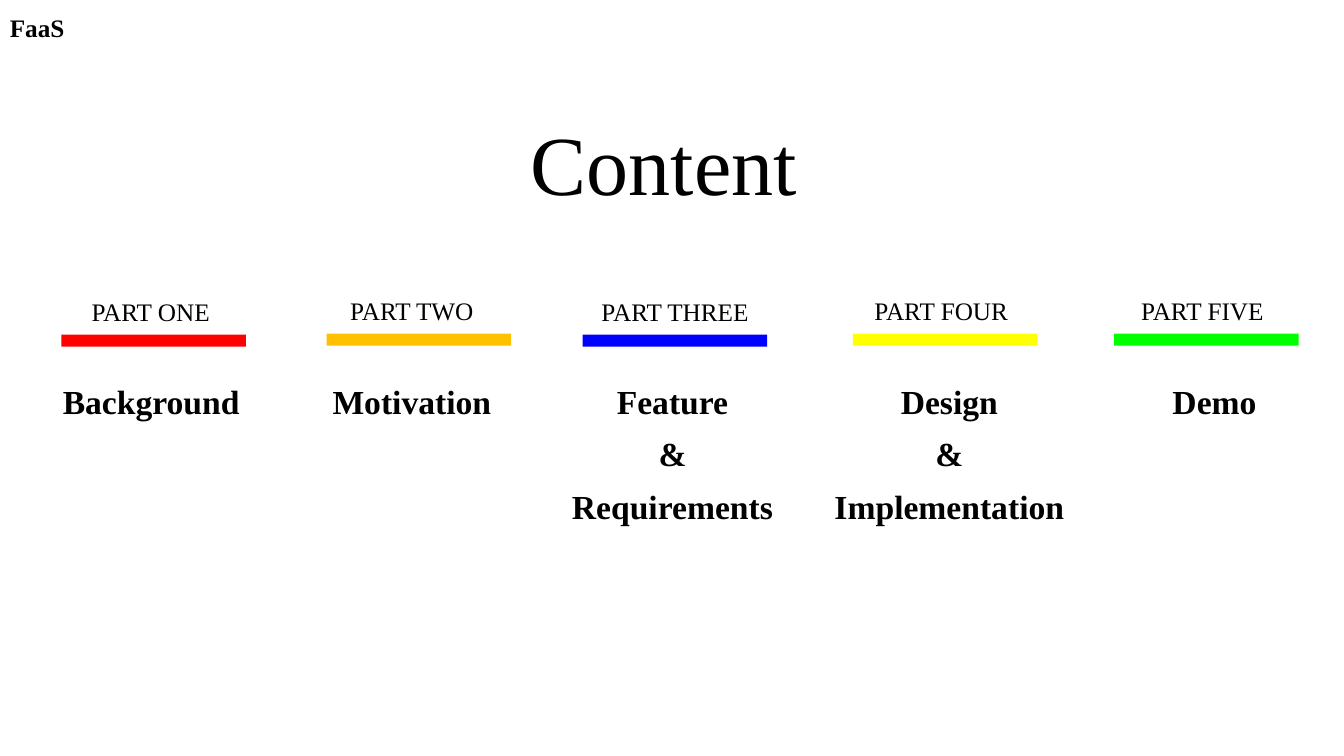
from pptx import Presentation
from pptx.dml.color import RGBColor
from pptx.enum.shapes import MSO_SHAPE
from pptx.enum.text import PP_ALIGN
from pptx.util import Emu, Pt

RECTANGLE = MSO_SHAPE.RECTANGLE
LEFT = PP_ALIGN.LEFT
CENTER = PP_ALIGN.CENTER
EMU_PER_PX = 9144
FONT = "Times New Roman"
COLORS = {
    "text": "000000",
    "red": "FF0000",
    "orange": "FFC000",
    "blue": "0000FF",
    "yellow": "FFFF00",
    "green": "00FF00",
}
BAR_WIDTH, BAR_HEIGHT = 183, 12
LABEL_HEIGHT, LABEL_TO_BAR = 49, 52
TOPIC_TOP, TOPIC_HEIGHT = 361, 57

# label, label left, label width, row top, bar left, color, topic, topic left, topic width
PARTS = [
    ("PART ONE", 68, 163, 280, 61, "red", "Background", 20, 260),
    ("PART TWO", 320, 177, 279, 324, "orange", "Motivation", 311, 195),
    ("PART THREE", 578, 183, 280, 578, "blue", "Feature\n&\nRequirements", 554, 226),
    ("PART FOUR", 838, 191, 279, 846, "yellow", "Design\n&\nImplementation", 817, 249),
    ("PART FIVE", 1097, 191, 279, 1105, "green", "Demo", 1080, 249),
]


def px(length):
    """Convert whole pixels to EMU."""
    return Emu(length * EMU_PER_PX)


def add_text(slide, text, left, top, width, height, size=18, bold=False,
             align=CENTER, line_spacing=1.3):
    """Add a text box with one paragraph per line of text."""
    box = slide.shapes.add_textbox(px(left), px(top), px(width), px(height))
    frame = box.text_frame
    frame.word_wrap = True
    frame.text = text
    for paragraph in frame.paragraphs:
        paragraph.alignment = align
        paragraph.line_spacing = line_spacing
        font = paragraph.runs[0].font
        font.name = FONT
        font.size = Pt(size)
        font.bold = bold
        font.color.rgb = RGBColor.from_string(COLORS["text"])


def add_bar(slide, left, top, color):
    """Add a plain coloured bar."""
    bar = slide.shapes.add_shape(
        RECTANGLE, px(left), px(top), px(BAR_WIDTH), px(BAR_HEIGHT))
    bar.shadow.inherit = False
    bar.fill.solid()
    bar.fill.fore_color.rgb = RGBColor.from_string(COLORS[color])
    bar.line.fill.background()


def add_part(slide, label, label_left, label_width, top, bar_left, color,
             topic, topic_left, topic_width):
    """Add one part: its label, bar and topic."""
    add_text(slide, label, label_left, top, label_width, LABEL_HEIGHT)
    add_bar(slide, bar_left, top + LABEL_TO_BAR, color)
    add_text(slide, topic, topic_left, TOPIC_TOP, topic_width, TOPIC_HEIGHT,
             size=24, bold=True)


def main():
    """Build and save the content slide."""
    presentation = Presentation()
    presentation.slide_width = px(1333)
    presentation.slide_height = px(750)
    slide = presentation.slides.add_slide(presentation.slide_layouts[6])
    add_text(slide, "FaaS", 0, 7, 80, 40, bold=True, align=LEFT, line_spacing=1.0)
    add_text(slide, "Content", 500, 106, 317, 111, size=60, line_spacing=1.0)
    for part in PARTS:
        add_part(slide, *part)
    presentation.save("out.pptx")


if __name__ == "__main__":
    main()
